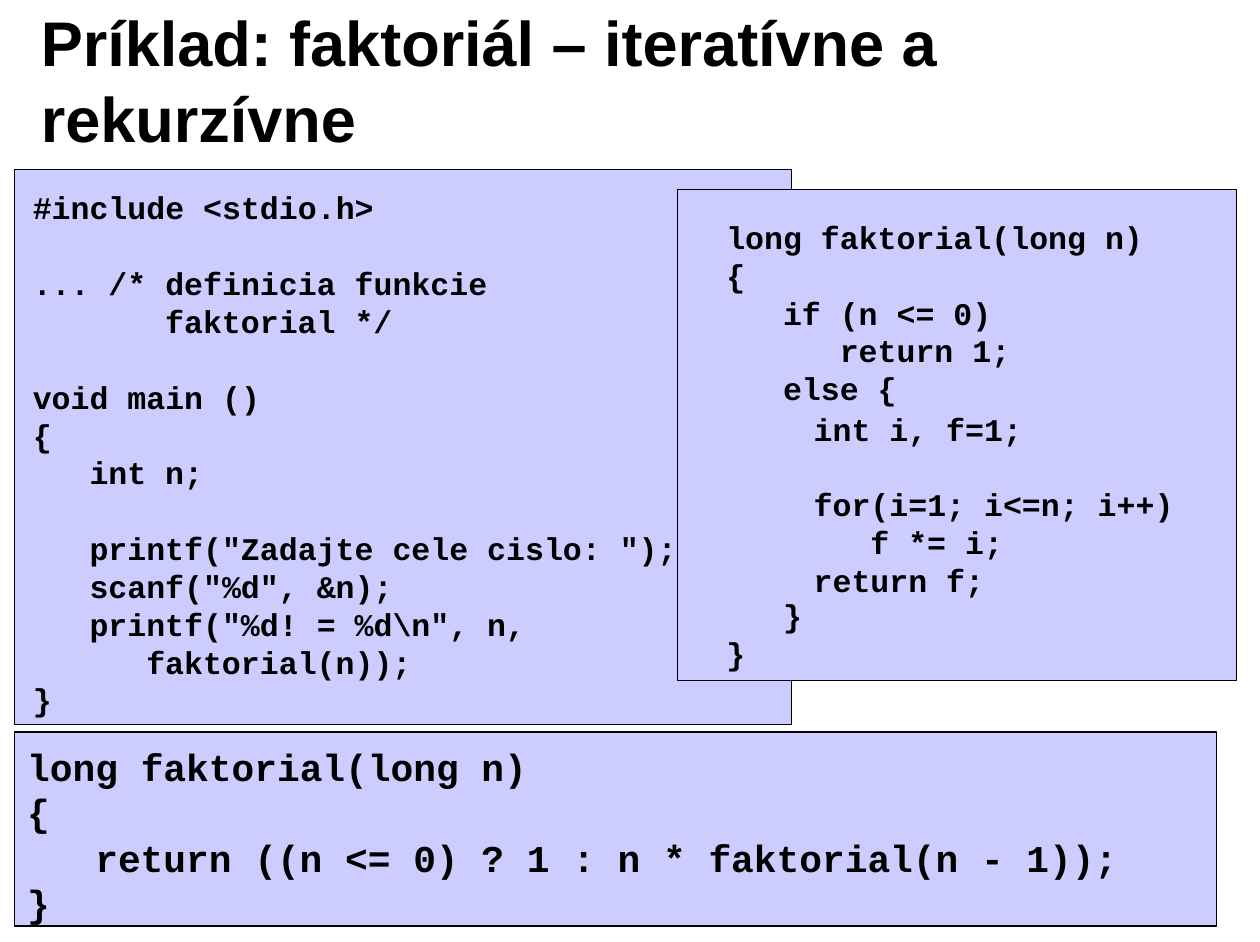
from dataclasses import dataclass

from pptx import Presentation
from pptx.dml.color import RGBColor
from pptx.enum.shapes import MSO_SHAPE
from pptx.enum.text import MSO_ANCHOR, MSO_AUTO_SIZE, PP_ALIGN
from pptx.util import Inches, Pt


@dataclass(frozen=True)
class Theme:
    ink: RGBColor = RGBColor(0x00, 0x00, 0x00)
    panel: RGBColor = RGBColor(0xCC, 0xCC, 0xFF)
    title_font: str = "Arial"
    code_font: str = "Courier New"
    title_size: int = 40
    code_size: int = 20
    large_code_size: int = 24
    outline: float = 0.75
    line_height: float = 1.2
    char_width: float = 0.6


THEME = Theme()

PROGRAM = r"""#include <stdio.h>

... /* definicia funkcie
       faktorial */

void main ()
{
   int n;

   printf("Zadajte cele cislo: ");
   scanf("%d", &n);
   printf("%d! = %d\n", n,
      faktorial(n));
}"""

ITERATIVE = """long faktorial(long n)
{
   if (n <= 0)
      return 1;
   else {





   }
}"""

LOOP = """      int i, f=1;

      for(i=1; i<=n; i++)
         f *= i;
      return f;"""

RECURSIVE = """long faktorial(long n)
{
   return ((n <= 0) ? 1 : n * faktorial(n - 1));
}"""


def write_text(frame, text, *, font, size, inset=(0.1, 0.05), anchor=MSO_ANCHOR.TOP):
    """Turn leading spaces into indents and empty lines into space before."""
    frame.word_wrap = True
    frame.auto_size = MSO_AUTO_SIZE.NONE
    frame.vertical_anchor = anchor
    frame.margin_left = frame.margin_right = Inches(inset[0])
    frame.margin_top = Inches(inset[1] + 0.04)
    frame.margin_bottom = Inches(inset[1])
    pitch = size * THEME.line_height
    paragraph, skipped = None, 0
    for line in text.split("\n"):
        if not line:
            skipped += 1
            continue
        paragraph = frame.add_paragraph() if paragraph else frame.paragraphs[0]
        content = line.lstrip()
        indent = (len(line) - len(content)) * size * THEME.char_width
        properties = paragraph._p.get_or_add_pPr()
        properties.set("marL", str(Pt(indent)))
        properties.set("indent", "0")
        paragraph.alignment = PP_ALIGN.LEFT
        paragraph.line_spacing = Pt(pitch)
        paragraph.space_before = Pt(skipped * pitch)
        skipped = 0
        run = paragraph.add_run()
        run.text = content
        run.font.name = font
        run.font.size = Pt(size)
        run.font.bold = True
        run.font.color.rgb = THEME.ink


def add_title(slide, box, text):
    title = slide.shapes.title
    title.left, title.top, title.width, title.height = map(Inches, box)
    write_text(title.text_frame, text, font=THEME.title_font,
               size=THEME.title_size, inset=(0.11, 0.06), anchor=MSO_ANCHOR.MIDDLE)


def add_panel(slide, box):
    panel = slide.shapes.add_shape(MSO_SHAPE.RECTANGLE, *map(Inches, box))
    panel.shadow.inherit = False
    panel.fill.solid()
    panel.fill.fore_color.rgb = THEME.panel
    panel.line.color.rgb = THEME.ink
    panel.line.width = Pt(THEME.outline)
    return panel


def add_code(slide, box, code):
    listing = slide.shapes.add_textbox(*map(Inches, box))
    write_text(listing.text_frame, code, font=THEME.code_font, size=THEME.code_size)


def add_program(slide, box):
    left, top, width, height = box
    add_panel(slide, box)
    add_code(slide, (left + 0.06, top + 0.08, width - 0.86, height - 0.12), PROGRAM)


def add_iterative(slide, box):
    left, top, width, height = box
    add_panel(slide, box)
    add_code(slide, (left + 0.33, top + 0.16, width - 0.95, height - 0.23), ITERATIVE)
    add_code(slide, (left + 0.1, top + 1.85, width - 0.45, height - 2.56), LOOP)


def add_recursive(slide, box):
    panel = add_panel(slide, box)
    write_text(panel.text_frame, RECURSIVE, font=THEME.code_font,
               size=THEME.large_code_size, inset=(0.11, 0.06))


def main():
    presentation = Presentation()
    presentation.slide_width = Inches(11.1)
    presentation.slide_height = Inches(8.3)
    slide = presentation.slides.add_slide(presentation.slide_layouts[5])
    add_title(slide, (0.25, 0.17, 8.92, 1.02),
              "Príklad: faktoriál – iteratívne a rekurzívne")
    add_program(slide, (0.13, 1.49, 6.84, 4.89))
    add_iterative(slide, (5.97, 1.67, 4.92, 4.33))
    add_recursive(slide, (0.13, 6.45, 10.59, 1.71))
    presentation.save("out.pptx")


if __name__ == "__main__":
    main()
